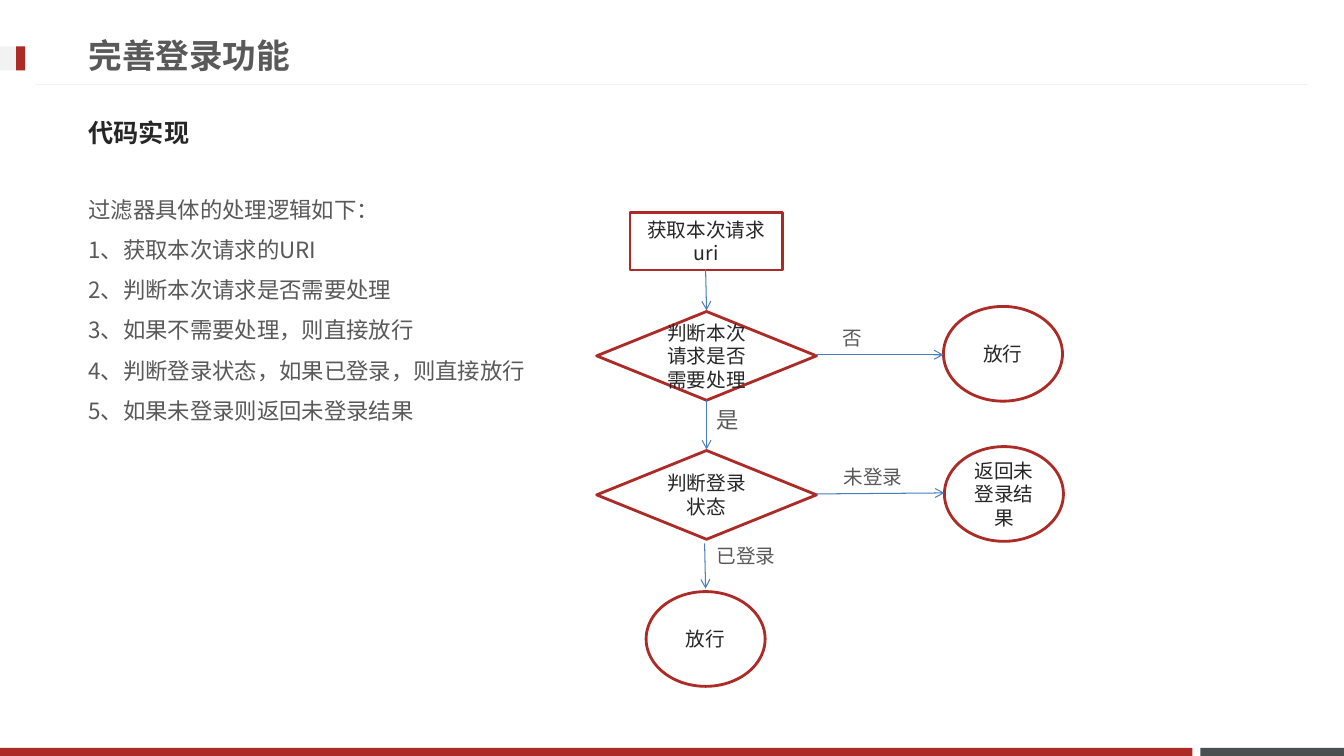
"""Build the login filter slide with its processing flowchart."""
from lxml import etree
from pptx import Presentation
from pptx.dml.color import RGBColor
from pptx.enum.shapes import MSO_CONNECTOR, MSO_SHAPE
from pptx.enum.text import MSO_ANCHOR, PP_ALIGN
from pptx.oxml.ns import qn
from pptx.util import Pt

RECT = MSO_SHAPE.RECTANGLE
OVAL = MSO_SHAPE.OVAL
DECISION = MSO_SHAPE.FLOWCHART_DECISION
STRAIGHT = MSO_CONNECTOR.STRAIGHT
TOP, MIDDLE = MSO_ANCHOR.TOP, MSO_ANCHOR.MIDDLE
LEFT, CENTER = PP_ALIGN.LEFT, PP_ALIGN.CENTER

CJK, LATIN = "Noto Sans CJK JP", "Calibri"
COLORS = {
    "red": "AD2B26",
    "slate": "49504F",
    "pale": "F2F2F2",
    "gray": "595959",
    "ink": "262626",
    "arrow": "4B7EBC",
}
SIZES = {RECT: (108.7, 41), DECISION: (157, 63.4), OVAL: (85, 67.7)}

BARS = [
    (857.5, 534.2, 102.5, 5.8, "slate"),
    (0, 534.2, 851.8, 5.8, "red"),
    (0, 33.1, 18, 17.3, "pale"),
    (11.5, 33.1, 6.5, 17.3, "red"),
]
LOGIC = [
    "过滤器具体的处理逻辑如下：",
    "1、获取本次请求的URI",
    "2、判断本次请求是否需要处理",
    "3、如果不需要处理，则直接放行",
    "4、判断登录状态，如果已登录，则直接放行",
    "5、如果未登录则返回未登录结果",
]
STEPS = [
    (RECT, 450, 151.9, "获取本次请求uri", CJK),
    (DECISION, 426.2, 222.5, "判断本次请求是否需要处理", LATIN),
    (DECISION, 426.2, 321.8, "判断登录状态", LATIN),
    (OVAL, 673.9, 218.9, "放行", LATIN),
    (OVAL, 674.6, 319, "返回未登录结果", LATIN),
    (OVAL, 461.5, 422.6, "放行", LATIN),
]
ARROWS = [
    (504, 192.2, 504.7, 221.8),
    (504.7, 285.8, 504.7, 321.1),
    (503.3, 388.1, 504, 420.5),
    (582.5, 253.4, 673.9, 253.4),
    (583.2, 352.8, 674.6, 352.1),
]
BRANCHES = [
    (594.7, 229, 59, 24.5, "否", 14),
    (595.4, 328.3, 59, 24.5, "未登录", 14),
    (504.7, 286.6, 34.6, 26.6, "是", 16),
    (504.7, 385.2, 59, 24.5, "已登录", 14),
]


def rgb(color):
    return RGBColor.from_string(COLORS[color])


def write(frame, lines, size, color, font=CJK, bold=False,
          anchor=TOP, align=LEFT, spacing=None):
    frame.word_wrap = True
    frame.vertical_anchor = anchor
    for index, line in enumerate(lines):
        paragraph = frame.paragraphs[0] if index == 0 else frame.add_paragraph()
        paragraph.alignment = align
        paragraph.line_spacing = spacing
        run = paragraph.add_run()
        run.text = line
        run.font.size = Pt(size)
        run.font.bold = bold
        run.font.name = font
        run.font.color.rgb = rgb(color)
        east_asian = etree.SubElement(run.font._element, qn("a:ea"))
        east_asian.set("typeface", CJK)


def add_text(slide, x, y, width, height, lines, size, color, **style):
    box = slide.shapes.add_textbox(Pt(x), Pt(y), Pt(width), Pt(height))
    write(box.text_frame, lines, size, color, **style)


def add_bar(slide, x, y, width, height, color):
    bar = slide.shapes.add_shape(RECT, Pt(x), Pt(y), Pt(width), Pt(height))
    bar.shadow.inherit = False
    bar.fill.solid()
    bar.fill.fore_color.rgb = rgb(color)
    bar.line.fill.background()


def add_step(slide, kind, x, y, caption, font):
    width, height = SIZES[kind]
    step = slide.shapes.add_shape(kind, Pt(x), Pt(y), Pt(width), Pt(height))
    step.shadow.inherit = False
    step.fill.background()
    step.line.color.rgb = rgb("red")
    step.line.width = Pt(2)
    write(step.text_frame, [caption], 14, "ink", font=font,
          anchor=MIDDLE, align=CENTER)


def add_line(slide, x1, y1, x2, y2, color, arrow=False):
    line = slide.shapes.add_connector(STRAIGHT, Pt(x1), Pt(y1), Pt(x2), Pt(y2))
    line.line.color.rgb = rgb(color)
    line.line.width = Pt(0.75)
    if arrow:
        head = etree.SubElement(line.line._get_or_add_ln(), qn("a:tailEnd"))
        head.set("type", "arrow")
    etree.SubElement(line._element.spPr, qn("a:effectLst"))


def main():
    deck = Presentation()
    deck.slide_width, deck.slide_height = Pt(960), Pt(540)
    slide = deck.slides.add_slide(deck.slide_layouts[6])

    for bar in BARS:
        add_bar(slide, *bar)
    add_line(slide, 934.6, 60.5, 25.2, 60.5, "pale")

    add_text(slide, 56.2, 18.7, 690.5, 41, ["完善登录功能"], 24, "gray",
             bold=True, anchor=MIDDLE)
    add_text(slide, 56.2, 74.2, 842.4, 41, ["代码实现"], 18, "ink",
             bold=True, anchor=MIDDLE)
    add_text(slide, 56.2, 126.7, 820, 211, LOGIC, 16, "gray", spacing=1.5)

    for step in STEPS:
        add_step(slide, *step)
    for arrow in ARROWS:
        add_line(slide, *arrow, "arrow", arrow=True)
    for x, y, width, height, answer, size in BRANCHES:
        add_text(slide, x, y, width, height, [answer], size, "gray")

    deck.save("out.pptx")


if __name__ == "__main__":
    main()
